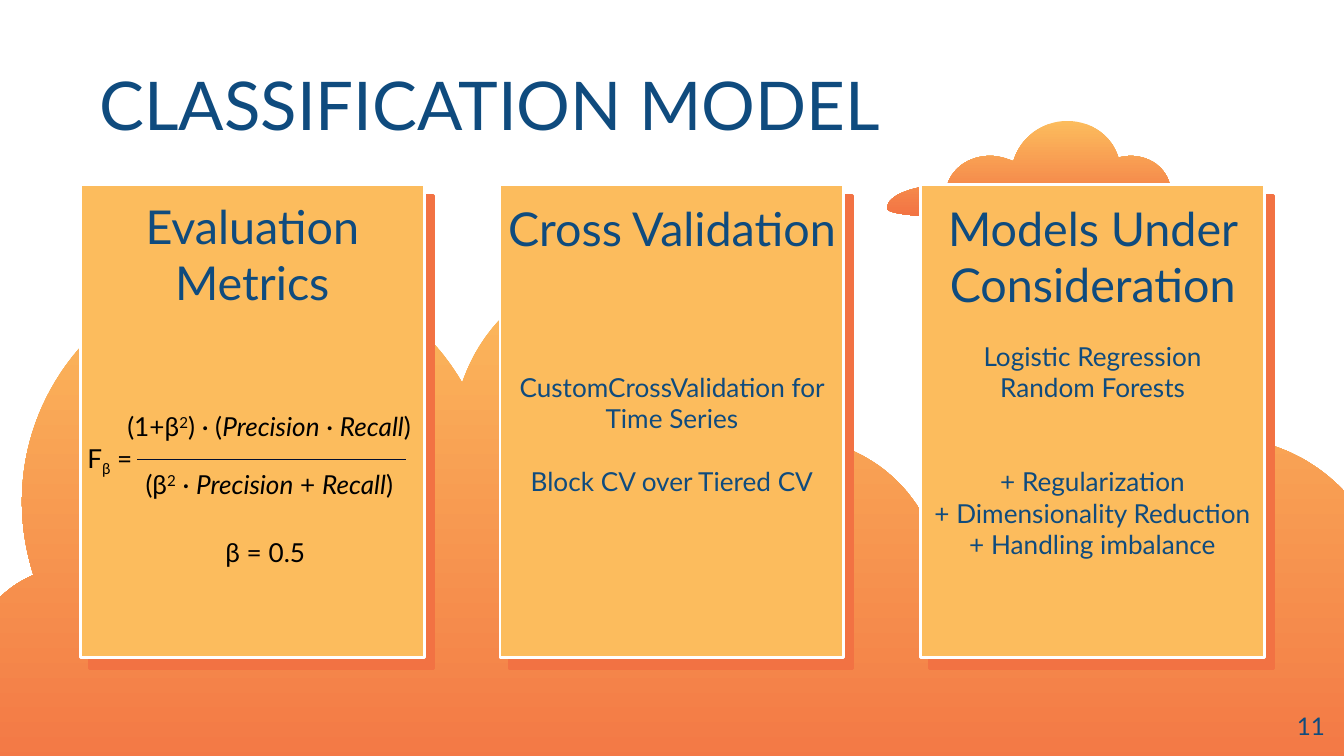
from lxml import etree
from pptx import Presentation
from pptx.dml.color import RGBColor
from pptx.enum.shapes import MSO_CONNECTOR, MSO_SHAPE
from pptx.enum.text import MSO_ANCHOR, PP_ALIGN
from pptx.oxml.ns import qn
from pptx.util import Cm, Pt

LEFT, CENTER, RIGHT = PP_ALIGN.LEFT, PP_ALIGN.CENTER, PP_ALIGN.RIGHT
TOP, MIDDLE = MSO_ANCHOR.TOP, MSO_ANCHOR.MIDDLE
RECT, STRAIGHT = MSO_SHAPE.RECTANGLE, MSO_CONNECTOR.STRAIGHT

COLORS = {"amber": "FCBC5D", "orange": "F27243", "navy": "0F4B7E",
          "white": "FFFFFF", "black": "000000", "rule": "020E2F"}
BASELINES = {"sub": "-25000", "sup": "30000"}
UNIT = 0.0254    # outlines are in hundredths of an inch, given in cm
LINE_14 = 16.8   # height of one 14 pt text line

# Outlines: a start point, then curves (two controls and an end) or line ends
HILLS = (1004, 532), [
    (1023, 510, 1035, 480, 1034, 448), (1033, 384, 981, 330, 917, 326),
    (845, 322, 784, 379, 784, 451), (784, 454),
    (768, 436, 745, 425, 720, 425), (713, 425, 707, 425, 700, 427),
    (695, 370, 647, 326, 589, 326), (589, 323),
    (589, 254, 533, 198, 464, 198), (408, 198, 361, 234, 344, 285),
    (312, 230, 252, 194, 183, 198), (96, 203, 24, 272, 17, 359),
    (15, 383, 18, 406, 25, 428), (-4, 440, -24, 469, -24, 502),
    (-24, 522, -17, 540, -5, 554), (-70, 559, -115, 570, -115, 583),
    (-115, 601, 1084, 604, 1084, 576), (1085, 558, 1052, 542, 1004, 532)]
CLOUD = (794, 90), [
    (775, 90, 759, 103, 754, 120), (749, 118, 743, 116, 737, 116),
    (721, 116, 709, 125, 705, 137), (680, 138, 660, 145, 660, 155),
    (660, 160, 692, 162, 733, 162), (803, 162, 899, 156, 899, 153),
    (899, 148, 887, 144, 871, 143), (871, 128, 858, 116, 841, 116),
    (838, 116, 835, 117, 832, 117), (827, 101, 812, 90, 794, 90)]


def rgb(name):
    return RGBColor.from_string(COLORS[name])


def circle(x, y, radius):
    """Outline of a circle in four curves."""
    k = radius * 0.55
    curves = []
    for dx, dy in ((1, 0), (0, 1), (-1, 0), (0, -1)):
        ax, ay, bx, by = x + dx * radius, y + dy * radius, x - dy * radius, y + dx * radius
        curves.append((ax - dy * k, ay + dx * k, bx + dx * k, by + dy * k, bx, by))
    return (x + radius, y), curves


class Deck:
    font = "Lato"
    inset = 0.25

    def __init__(self, width, height):
        self.prs = Presentation()
        self.prs.slide_width, self.prs.slide_height = Cm(width), Cm(height)
        self.s = self.prs.slides.add_slide(self.prs.slide_layouts[6])

    def outline(self, *contours):
        fb = None
        segments = []
        for start, contour in contours:
            start = tuple(Cm(v * UNIT) for v in start)
            if fb is None:
                fb = self.s.shapes.build_freeform(*start, scale=1.0)
            else:
                fb.move_to(*start)
            values = [Cm(v * UNIT) for seg in contour for v in seg]
            fb.add_line_segments(list(zip(values[::2], values[1::2])), close=True)
            segments += contour
        sp = fb.convert_to_shape()
        sp.shadow.inherit = False
        # Join each pair of controls and its end point into a curve
        path = next(sp._element.iter(qn("a:path")))
        steps = iter(path.findall(qn("a:lnTo")))
        for seg in segments:
            group = [next(steps) for _ in range(len(seg) // 2)]
            if len(group) == 3:
                curve = etree.Element(qn("a:cubicBezTo"))
                group[0].addprevious(curve)
                for step in group:
                    curve.append(step[0])
                    path.remove(step)
        return sp

    def cloud(self, contour):
        sp = self.outline(contour)
        sp.line.fill.background()
        sp.fill.gradient()
        sp.fill.gradient_angle = 270
        for stop, color in zip(sp.fill.gradient_stops, ("amber", "orange")):
            stop.color.rgb = rgb(color)

    def sun(self, x, y):
        rings = [circle(x, y, 43), circle(x, y, 42.5)]
        halo = [circle(x, y, 66), circle(x, y, 65.5)]
        for contours in (rings, halo, [circle(x, y, 35.5)]):
            sp = self.outline(*contours)
            sp.line.color.rgb = rgb("white")
            sp.line.width = Pt(1.5)
            if len(contours) > 1:
                sp.fill.background()
            else:
                sp.fill.solid()
                sp.fill.fore_color.rgb = rgb("white")

    def card(self, x, y, w, h):
        sp = self.s.shapes.add_shape(RECT, Cm(x), Cm(y), Cm(w), Cm(h))
        sp.fill.solid()
        sp.fill.fore_color.rgb = rgb("amber")
        sp.line.color.rgb = rgb("white")
        sp.line.width = Pt(1.5)
        # Hard offset shadow
        sp.shadow.inherit = False
        effects = sp._element.spPr.find(qn("a:effectLst"))
        shadow = etree.SubElement(effects, qn("a:outerShdw"), blurRad="0",
                                  dist=str(Pt(7.5)), dir=str(50 * 60000),
                                  algn="bl", rotWithShape="0")
        etree.SubElement(shadow, qn("a:srgbClr"), val=COLORS["orange"])

    def text(self, x, y, w, h, paragraphs, size=14, color="navy",
             align=CENTER, anchor=TOP):
        """Each paragraph is (blank lines before, [(text, style), ...])."""
        sp = self.s.shapes.add_textbox(Cm(x), Cm(y), Cm(w), Cm(h))
        tf = sp.text_frame
        tf.word_wrap = True
        tf.vertical_anchor = anchor
        tf.margin_left = tf.margin_right = Cm(self.inset)
        tf.margin_top = tf.margin_bottom = Cm(self.inset)
        for i, (gap, runs) in enumerate(paragraphs):
            p = tf.add_paragraph() if i else tf.paragraphs[0]
            p.alignment = align
            if gap:
                p.space_before = Pt(gap * LINE_14)
            for text, style in runs:
                r = p.add_run()
                r.text = text
                r.font.name, r.font.size = self.font, Pt(size)
                r.font.color.rgb = rgb(color)
                if style == "i":
                    r.font.italic = True
                if style in BASELINES:
                    r._r.get_or_add_rPr().set("baseline", BASELINES[style])

    def label(self, x, y, w, h, text, **style):
        self.text(x, y, w, h, [(0, [(text, "")])], **style)

    def rule(self, x1, x2, y):
        c = self.s.shapes.add_connector(STRAIGHT, Cm(x1), Cm(y), Cm(x2), Cm(y))
        c.line.color.rgb = rgb("rule")
        c.line.width = Pt(0.75)
        etree.SubElement(c._element.spPr, qn("a:effectLst"))


def main():
    deck = Deck(25.4, 14.29)

    # Background
    deck.cloud(HILLS)
    deck.sun(938, 53.5)
    deck.cloud(CLOUD)

    # Cards: left, heading top, heading, body top, body height, body lines
    card_w = 6.5
    cards = [
        (1.52, 3.5, "Evaluation Metrics", 0, 0, []),
        (9.45, 3.53, "Cross Validation", 6.77, 3.92,
         [(0, "CustomCrossValidation for Time Series"),
          (1, "Block CV over Tiered CV")]),
        (17.4, 3.53, "Models Under Consideration", 6.18, 4.83,
         [(0, "Logistic Regression"), (0, "Random Forests"),
          (2, "+ Regularization"), (0, "+ Dimensionality Reduction"),
          (0, "+ Handling imbalance")]),
    ]
    for x, *_ in cards:
        deck.card(x, 3.49, card_w, 8.94)

    # Title
    deck.label(1.63, 0.93, 21.41, 2.06, "CLASSIFICATION MODEL",
               size=36, align=LEFT, anchor=MIDDLE)

    # Card texts
    for x, head_y, heading, body_y, body_h, lines in cards:
        deck.label(x - 0.14, head_y, card_w + 0.28, 2.54, heading, size=25)
        if lines:
            deck.text(x, body_y, card_w, body_h,
                      [(gap, [(line, "")]) for gap, line in lines])

    # F-beta formula
    deck.text(1.4, 8.11, 1.83, 1.12, [(0, [("F", ""), ("β", "sub"), (" =", "")])],
              color="black", align=LEFT)
    deck.rule(2.59, 7.67, 8.68)
    fraction = [(1.96, 7.51, 6.25, "(1+β", ") · (", " · "),
                (2.36, 8.61, 5.46, "(β", " · ", " + ")]
    for x, y, w, start, middle, operator in fraction:
        runs = [(start, ""), ("2", "sup"), (middle, ""), ("Precision", "i"),
                (operator, ""), ("Recall", "i"), (")", "")]
        deck.text(x, y, w, 1.12, [(0, runs)], color="black")
    deck.label(3.68, 9.88, 2.67, 1.12, "β = 0.5", color="black")

    # Slide number
    deck.label(23.77, 13.19, 1.52, 1.09, "11", size=13, align=RIGHT)

    deck.prs.save("out.pptx")


if __name__ == "__main__":
    main()
